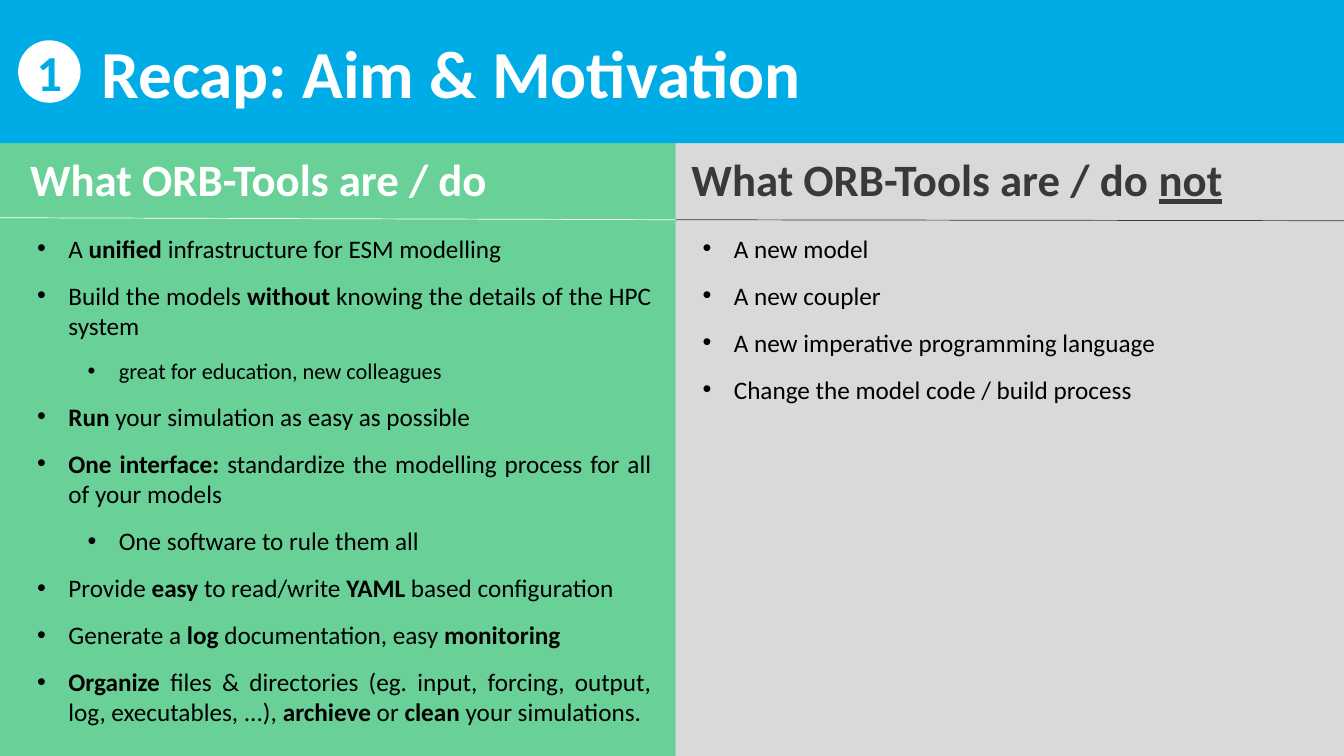
"""Build the recap slide on what ORB-Tools are and are not."""
from lxml import etree
from pptx import Presentation
from pptx.dml.color import RGBColor
from pptx.enum.shapes import MSO_CONNECTOR, MSO_SHAPE
from pptx.enum.text import MSO_ANCHOR, PP_ALIGN
from pptx.oxml.ns import qn
from pptx.util import Inches, Pt

RECTANGLE, OVAL = MSO_SHAPE.RECTANGLE, MSO_SHAPE.OVAL
STRAIGHT, MIDDLE = MSO_CONNECTOR.STRAIGHT, MSO_ANCHOR.MIDDLE
LEFT, CENTER, JUSTIFY = PP_ALIGN.LEFT, PP_ALIGN.CENTER, PP_ALIGN.JUSTIFY

THEME = {
    "font": "Calibri",
    "blue": "00ACE6", "green": "00B050", "grey": "BFBFBF",
    "white": "FFFFFF", "dark": "3B3838", "black": "000000",
    "panel_alpha": 59000, "rule": 0.5,
    "title": 48, "number": 36, "heading": 32, "body": 18, "detail": 16,
}

deck = Presentation()
deck.slide_width, deck.slide_height = Inches(13.33), Inches(7.5)
column, row = deck.slide_width / 100, deck.slide_height / 100
slide = deck.slides.add_slide(deck.slide_layouts[6])
SPLIT, BANNER = 50.28, 18.93


def add_block(left, top, width, height, fill=None, form=RECTANGLE):
    """Place a filled shape, or a text box without fill, in hundredths of the slide."""
    area = [int(v) for v in (left * column, top * row, width * column, height * row)]
    if fill is None:
        block = slide.shapes.add_textbox(*area)
    else:
        block = slide.shapes.add_shape(form, *area)
        block.shadow.inherit = False
        block.fill.solid()
        block.fill.fore_color.rgb = RGBColor.from_string(THEME[fill])
        block.line.fill.background()
        block.text_frame.vertical_anchor = MIDDLE
    block.text_frame.word_wrap = True
    return block


def write(paragraph, text, size, color, align=LEFT, bold=True, marked="bold"):
    """Write text whose parts between asterisks get the marked font property."""
    paragraph.alignment = align
    for index, part in enumerate(text.split("*")):
        if part:
            run = paragraph.add_run()
            run.text = part
            run.font.name, run.font.size = THEME["font"], Pt(THEME[size])
            run.font.color.rgb = RGBColor.from_string(THEME[color])
            run.font.bold = bold
            if index % 2:
                setattr(run.font, marked, True)


for left, width, fill in ((SPLIT, 100 - SPLIT, "grey"), (0, SPLIT, "green")):
    panel = add_block(left, 0, width, 100, fill)
    tint = panel.fill._xPr.find(qn("a:solidFill"))[0]
    etree.SubElement(tint, qn("a:alpha")).set("val", str(THEME["panel_alpha"]))

topics = [
    (1.5, 47.04, "What ORB-Tools are / do", "white", 2.03, 67.73, [
        (0, "body", "A *unified* infrastructure for ESM modelling"),
        (0, "body", "Build the models *without* knowing the details of the HPC system"),
        (1, "detail", "great for education, new colleagues"),
        (0, "body", "*Run* your simulation as easy as possible"),
        (0, "body", "*One interface: *standardize the modelling process for all of your models"),
        (1, "body", "One software to rule them all"),
        (0, "body", "Provide *easy* to read/write *YAML* based configuration"),
        (0, "body", "Generate a *log* documentation, easy *monitoring*"),
        (0, "body", "*Organize* files & directories (eg. input, forcing, output, log, "
                    "executables, ...), *archieve* or *clean* your simulations."),
    ]),
    (50.71, 48.91, "What ORB-Tools are / do *not*", "dark", 51.54, 24.27, [
        (0, "body", "A new model"),
        (0, "body", "A new coupler"),
        (0, "body", "A new imperative programming language"),
        (0, "body", "Change the model code / build process"),
    ]),
]
for left, width, heading, color, list_left, list_height, points in topics:
    heading_frame = add_block(left, 19.47, width, 8.53).text_frame
    write(heading_frame.paragraphs[0], heading, "heading", color, marked="underline")

    list_frame = add_block(list_left, 30.17, 47.19, list_height).text_frame
    for index, (level, size, text) in enumerate(points):
        point = list_frame.add_paragraph() if index else list_frame.paragraphs[0]
        write(point, text, size, "black", JUSTIFY, bold=False)
        point.level = level
        point.space_after = Pt(12)
        layout = point._p.get_or_add_pPr()
        layout.set("marL", str(Inches(0.31 + 0.5 * level)))
        layout.set("indent", str(Inches(-0.31)))
        etree.SubElement(layout, qn("a:buFont")).set("typeface", "Arial")
        etree.SubElement(layout, qn("a:buChar")).set("char", "•")

for start, start_row, end, end_row, color in (
    (0, 28.8, SPLIT, 29.07, "white"),
    (SPLIT, 29.07, 100, 29.2, "dark"),
):
    rule = slide.shapes.add_connector(
        STRAIGHT, int(start * column), int(start_row * row),
        int(end * column), int(end_row * row))
    rule.line.color.rgb = RGBColor.from_string(THEME[color])
    rule.line.width = Pt(THEME["rule"])
    etree.SubElement(rule._element.spPr, qn("a:effectLst"))

banner = add_block(0, 0, 100, BANNER, "blue").text_frame
banner.margin_left = int(7.55 * column)
write(banner.paragraphs[0], "Recap: Aim & Motivation", "title", "white")

badge = add_block(1.35, 5.33, 4.65, 8.27, "white", OVAL).text_frame
badge.margin_left = badge.margin_right = badge.margin_top = badge.margin_bottom = 0
badge.word_wrap = False
write(badge.paragraphs[0], "1", "number", "blue", CENTER)

deck.save("out.pptx")
